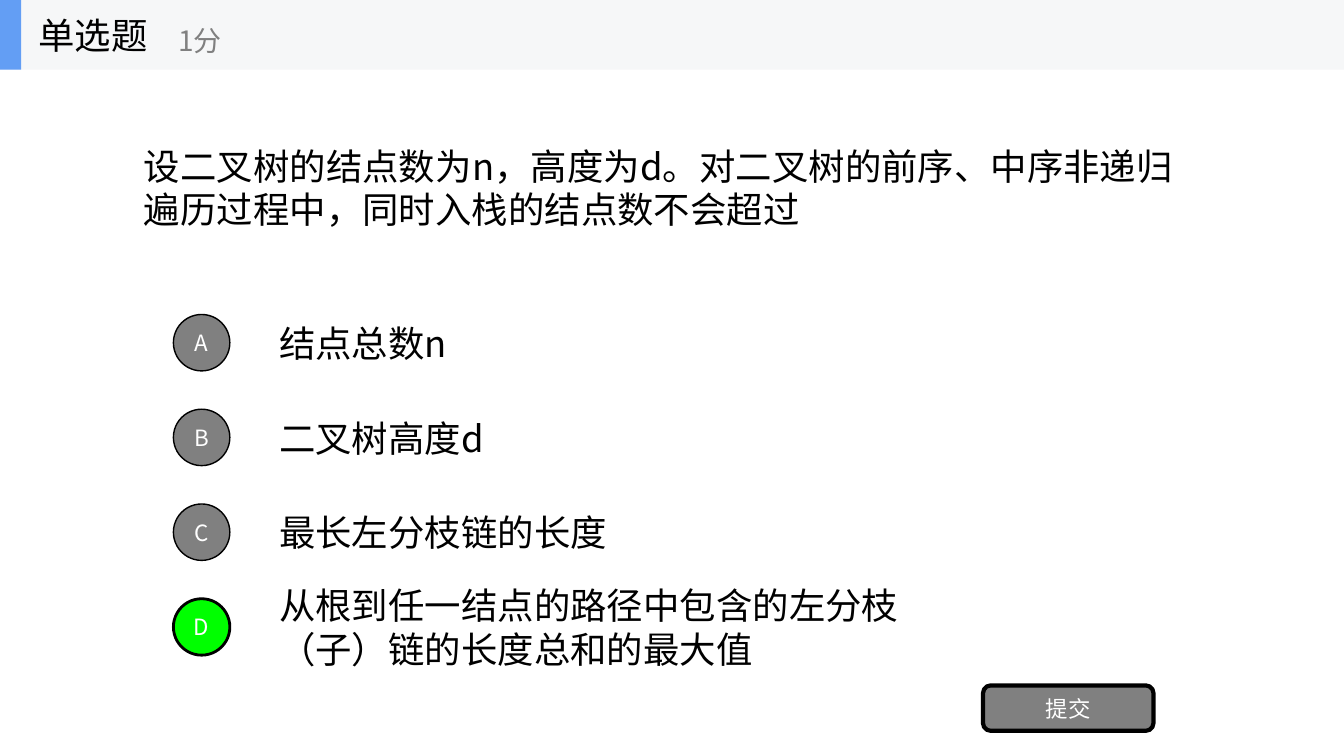
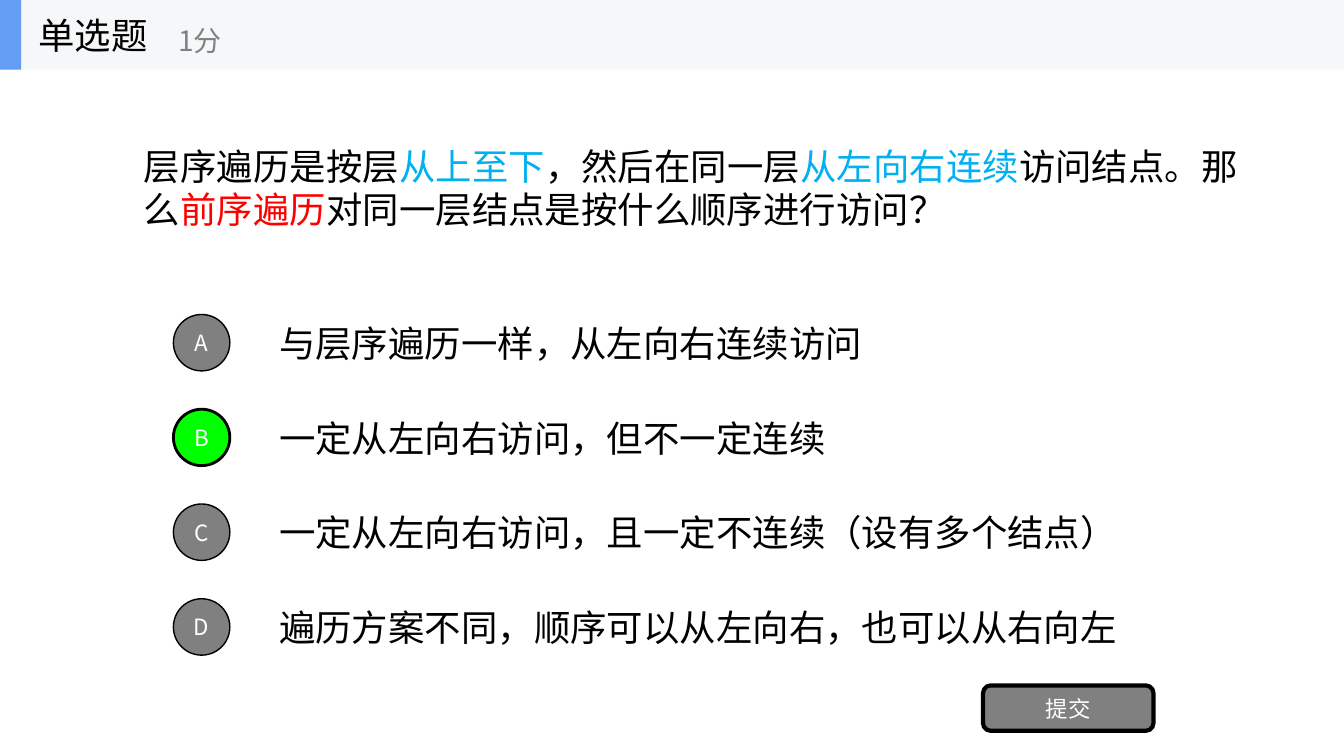
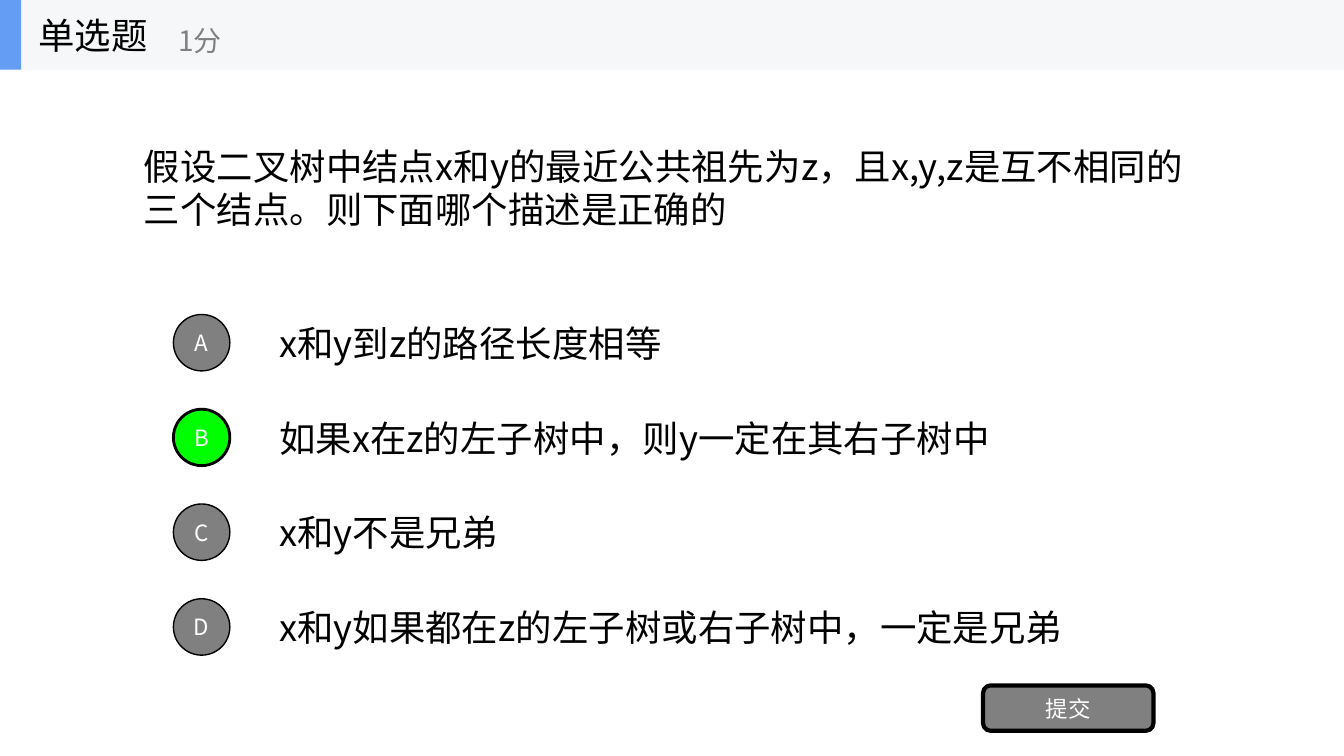
from dataclasses import dataclass

from lxml import etree
from pptx import Presentation
from pptx.dml.color import RGBColor
from pptx.enum import shapes, text
from pptx.oxml import ns
from pptx.util import Inches, Pt


@dataclass(frozen=True)
class Theme:
    font: str = "Noto Sans CJK SC"
    ink: str = "000000"
    white: str = "FFFFFF"
    gray: str = "808080"
    band: str = "F6F7F8"
    accent: str = "639EF4"
    correct: str = "00FF00"
    blue: str = "00B0F0"
    red: str = "FF0000"
    body_size: int = 26
    points_size: int = 20
    label_size: int = 16


THEME = Theme()
SLIDE_WIDTH, SLIDE_HEIGHT = 13.33, 7.5
BAND_HEIGHT = 0.69
OPTION_TOP, OPTION_PITCH, OPTION_HEIGHT = 3.05, 0.94, 0.7
CIRCLE_SIZE = 0.56


def write_text(shape, content, *, size=THEME.body_size, color=THEME.ink,
               align=text.PP_ALIGN.LEFT):
    """Write a string, or a list of (string, colour) runs, as one paragraph."""
    frame = shape.text_frame
    frame.word_wrap = True
    frame.auto_size = text.MSO_AUTO_SIZE.NONE
    frame.vertical_anchor = text.MSO_ANCHOR.MIDDLE
    paragraph = frame.paragraphs[0]
    paragraph.alignment = align
    runs = [(content, color)] if isinstance(content, str) else content
    for words, run_color in runs:
        run = paragraph.add_run()
        run.text = words
        run.font.size = Pt(size)
        run.font.color.rgb = RGBColor.from_string(run_color)
        run.font.name = THEME.font
        # East Asian glyphs take their own typeface element
        latin = run.font._element.find(ns.qn("a:latin"))
        east_asian = etree.Element(ns.qn("a:ea"), typeface=THEME.font)
        latin.addnext(east_asian)


class QuizDeck:
    """Holds the presentation and the slide being built."""

    def __init__(self):
        self.presentation = Presentation()
        self.presentation.slide_width = Inches(SLIDE_WIDTH)
        self.presentation.slide_height = Inches(SLIDE_HEIGHT)
        self.slide = None

    def add_block(self, kind, left, top, width, height, fill, line_width=0):
        shape = self.slide.shapes.add_shape(
            kind, Inches(left), Inches(top), Inches(width), Inches(height))
        shape.shadow.inherit = False
        shape.fill.solid()
        shape.fill.fore_color.rgb = RGBColor.from_string(fill)
        if line_width:
            shape.line.color.rgb = RGBColor.from_string(THEME.ink)
            shape.line.width = Pt(line_width)
        else:
            shape.line.fill.background()
        return shape

    def add_label(self, shape, content):
        frame = shape.text_frame
        frame.margin_left = frame.margin_right = 0
        frame.margin_top = frame.margin_bottom = 0
        write_text(shape, content, size=THEME.label_size, color=THEME.white,
                   align=text.PP_ALIGN.CENTER)

    def add_text(self, content, left, top, width, height, **style):
        box = self.slide.shapes.add_textbox(
            Inches(left), Inches(top), Inches(width), Inches(height))
        write_text(box, content, **style)

    def add_header(self, title, points):
        placeholder = self.slide.shapes.title
        rectangle = shapes.MSO_SHAPE.RECTANGLE
        # The band and its accent lie behind the title
        for width, fill in ((SLIDE_WIDTH, THEME.band), (0.21, THEME.accent)):
            block = self.add_block(rectangle, 0, 0, width, BAND_HEIGHT, fill)
            placeholder.element.addprevious(block.element)
        placeholder.left, placeholder.top = Inches(0.28), Inches(0)
        placeholder.width, placeholder.height = Inches(2.08), Inches(BAND_HEIGHT)
        write_text(placeholder, title)
        self.add_text(points, 1.67, 0.12, 2.5, 0.56,
                      size=THEME.points_size, color=THEME.gray)

    def add_option(self, index, content, is_correct, width):
        top = OPTION_TOP + index * OPTION_PITCH
        self.add_text(content, 2.67, top, width, OPTION_HEIGHT)
        circle = self.add_block(
            shapes.MSO_SHAPE.OVAL, 1.72, top + (OPTION_HEIGHT - CIRCLE_SIZE) / 2,
            CIRCLE_SIZE, CIRCLE_SIZE,
            THEME.correct if is_correct else THEME.gray, 2 if is_correct else 1)
        self.add_label(circle, "ABCD"[index])

    def add_submit_button(self):
        button = self.add_block(shapes.MSO_SHAPE.ROUNDED_RECTANGLE,
                                9.75, 6.8, 1.69, 0.45, THEME.gray, 3)
        self.add_label(button, "提交")

    def add_question(self, question, options, answer, question_width=10.67,
                     answer_width=9.33):
        layout = self.presentation.slide_layouts.get_by_name("Title Only")
        self.slide = self.presentation.slides.add_slide(layout)
        self.add_header("单选题", "1分")
        self.add_text(question, 1.33, BAND_HEIGHT, question_width, 2.34)
        for index, option in enumerate(options):
            is_correct = "ABCD"[index] == answer
            self.add_option(index, option, is_correct,
                            answer_width if is_correct else 9.33)
        self.add_submit_button()


def main():
    deck = QuizDeck()

    # Stack depth of non-recursive traversal
    deck.add_question(
        "设二叉树的结点数为n，高度为d。对二叉树的前序、中序非递归遍历过程中，"
        "同时入栈的结点数不会超过",
        ["结点总数n", "二叉树高度d", "最长左分枝链的长度",
         "从根到任一结点的路径中包含的左分枝（子）链的长度总和的最大值"],
        answer="D", answer_width=6.71)

    # Level order against preorder
    deck.add_question(
        [("层序遍历是按层", THEME.ink), ("从上至下", THEME.blue),
         ("，然后在同一层", THEME.ink), ("从左向右连续", THEME.blue),
         ("访问结点。那么", THEME.ink), ("前序遍历", THEME.red),
         ("对同一层结点是按什么顺序进行访问？", THEME.ink)],
        ["与层序遍历一样，从左向右连续访问",
         "一定从左向右访问，但不一定连续",
         "一定从左向右访问，且一定不连续（设有多个结点）",
         "遍历方案不同，顺序可以从左向右，也可以从右向左"],
        answer="B", question_width=11.37)

    # Nearest common ancestor
    deck.add_question(
        "假设二叉树中结点x和y的最近公共祖先为z，且x,y,z是互不相同的三个结点。"
        "则下面哪个描述是正确的",
        ["x和y到z的路径长度相等",
         "如果x在z的左子树中，则y一定在其右子树中",
         "x和y不是兄弟",
         "x和y如果都在z的左子树或右子树中，一定是兄弟"],
        answer="B")

    deck.presentation.save("out.pptx")


if __name__ == "__main__":
    main()
